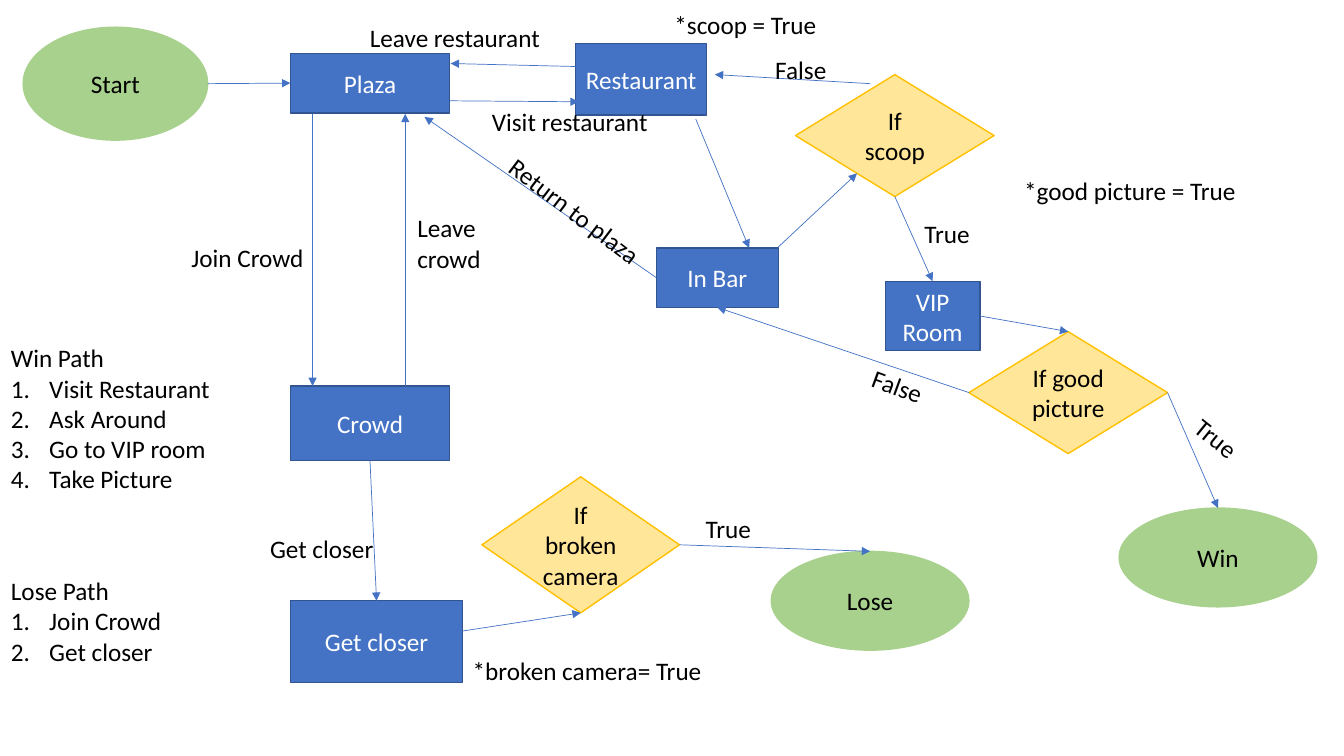
from lxml import etree
from pptx import Presentation
from pptx.dml.color import RGBColor
from pptx.enum import shapes, text
from pptx.oxml.ns import qn
from pptx.util import Inches, Pt

BLACK = RGBColor(0x00, 0x00, 0x00)
WHITE = RGBColor(0xFF, 0xFF, 0xFF)
BLUE = RGBColor(0x44, 0x72, 0xC4)
NAVY = RGBColor(0x32, 0x54, 0x91)
GREEN = RGBColor(0xA9, 0xD1, 0x8E)
CREAM = RGBColor(0xFF, 0xE6, 0x99)
GOLD = RGBColor(0xFF, 0xC0, 0x00)

KIND = shapes.MSO_SHAPE
STYLES = {
    "end": (KIND.OVAL, GREEN, GREEN, BLACK),
    "place": (KIND.RECTANGLE, BLUE, NAVY, WHITE),
    "test": (KIND.FLOWCHART_DECISION, CREAM, GOLD, BLACK),
}
NODES = [
    ("Start", "end", 0.23, 0.27, 1.83, 1.12),
    ("Plaza", "place", 2.88, 0.53, 1.58, 0.59),
    ("Crowd", "place", 2.88, 3.83, 1.58, 0.74),
    ("In Bar", "place", 6.51, 2.46, 1.21, 0.59),
    ("If broken camera", "test", 4.78, 4.73, 1.96, 1.35),
    ("Lose", "end", 7.65, 5.47, 1.96, 0.98),
    ("Restaurant", "place", 5.71, 0.43, 1.3, 0.71),
    ("If good picture", "test", 9.61, 3.29, 1.97, 1.21),
    ("Win", "end", 11.1, 5.04, 1.96, 0.98),
    ("VIP Room", "place", 8.78, 2.79, 0.94, 0.69),
    ("If scoop", "test", 7.89, 0.74, 1.97, 1.21),
    ("Get closer", "place", 2.88, 5.96, 1.71, 0.81),
]

TOP, LEFT, BOTTOM, RIGHT = range(4)
ARROWS = [
    ((2.06, 0.83), ("Plaza", LEFT)),
    ((3.1, 1.13), (3.1, 3.83)),
    ((4.02, 3.83), (4.02, 1.13)),
    ((4.46, 1), (5.74, 1.01)),
    ((5.71, 0.66), (4.47, 0.63)),
    (("Crowd", BOTTOM), ("Get closer", TOP)),
    ((4.59, 6.26), ("If broken camera", BOTTOM)),
    (("If broken camera", RIGHT), ("Lose", TOP)),
    ((6.9, 1.18), (7.43, 2.46)),
    (("In Bar", LEFT), (4.21, 1.16)),
    ((7.72, 2.45), (8.5, 1.72)),
    ((8.63, 0.83), (7.09, 0.74)),
    (("If scoop", BOTTOM), ("VIP Room", TOP)),
    (("VIP Room", RIGHT), ("If good picture", TOP)),
    (("If good picture", LEFT), ("In Bar", BOTTOM)),
    (("If good picture", RIGHT), ("Win", TOP)),
]

LABELS = [
    ("Join Crowd", 1.8, 2.35, 1.33, 0.4, 0, False),
    ("Leave\ncrowd", 4.04, 2.06, 1.15, 0.71, 0, True),
    ("Visit restaurant", 4.78, 1.01, 1.76, 0.4, 0, False),
    ("Leave restaurant", 3.57, 0.17, 2.36, 0.4, 0, True),
    ("True", 9.07, 2.12, 0.66, 0.4, 0, False),
    ("True", 11.74, 4.15, 0.66, 0.4, 38.9, False),
    ("False", 8.55, 3.63, 0.71, 0.4, 20.1, False),
    ("Return to plaza", 4.83, 1.9, 1.76, 0.4, 37.3, False),
    ("*scoop = True", 6.59, 0.04, 1.69, 0.71, 0, False),
    ("*broken camera= True", 4.59, 6.45, 2.5, 0.4, 0, False),
    ("*good picture = True", 10.06, 1.69, 2.33, 0.4, 0, False),
    ("False", 7.59, 0.49, 0.71, 0.4, 0, False),
    ("True", 6.9, 5.04, 0.66, 0.4, 0, False),
    ("Get closer", 2.58, 5.24, 1.24, 0.4, 0, False),
]
PATHS = [
    ("Win Path", ["Visit Restaurant", "Ask Around", "Go to VIP room", "Take Picture"],
     0.01, 3.35, 2.19, 1.62),
    ("Lose Path", ["Join Crowd", "Get closer"], 0.01, 5.66, 1.71, 1.01),
]

prs = Presentation()
prs.slide_width, prs.slide_height = Inches(13.33), Inches(7.5)
s = prs.slides.add_slide(prs.slide_layouts[6])


def write(tf, words, color, align):
    tf.text = words
    for p in tf.paragraphs:
        p.alignment = align
        for r in p.runs:
            r.font.name, r.font.size = "Calibri", Pt(18)
            r.font.color.rgb = color


def add_label(words, box, wrap=False):
    sp = s.shapes.add_textbox(*map(Inches, box))
    tf = sp.text_frame
    write(tf, words, BLACK, text.PP_ALIGN.LEFT)
    tf.word_wrap = wrap
    tf.auto_size = text.MSO_AUTO_SIZE.SHAPE_TO_FIT_TEXT
    return sp


def add_node(words, style, *box):
    kind, fill, line, color = STYLES[style]
    sp = s.shapes.add_shape(kind, *map(Inches, box))
    sp.shadow.inherit = False
    sp.fill.solid()
    sp.fill.fore_color.rgb = fill
    sp.line.color.rgb = line
    sp.line.width = Pt(1)
    tf = sp.text_frame
    tf.word_wrap = True
    tf.vertical_anchor = text.MSO_ANCHOR.MIDDLE
    write(tf, words, color, text.PP_ALIGN.CENTER)
    return sp


def add_arrow(start, end):
    glued = [isinstance(e[0], str) for e in (start, end)]
    points = [(0, 0) if g else e for g, e in zip(glued, (start, end))]
    cn = s.shapes.add_connector(
        shapes.MSO_CONNECTOR.STRAIGHT, *[Inches(v) for pt in points for v in pt])
    for g, (name, site), connect in zip(
            glued, (start, end), (cn.begin_connect, cn.end_connect)):
        if g:
            connect(nodes[name], site)
    cn.line.color.rgb = BLUE
    cn.line.width = Pt(0.5)
    ln = cn.line._get_or_add_ln()
    etree.SubElement(ln, qn("a:tailEnd"), type="triangle")
    etree.SubElement(ln.getparent(), qn("a:effectLst"))


nodes = {node[0]: add_node(*node) for node in NODES}

for start, end in ARROWS:
    add_arrow(start, end)

for words, x, y, w, h, angle, wrap in LABELS:
    add_label(words, (x, y, w, h), wrap).rotation = angle

for title, steps, *box in PATHS:
    sp = add_label("\n".join([title] + steps), box)
    for p in sp.text_frame.paragraphs[1:]:
        pPr = p._p.get_or_add_pPr()
        pPr.set("marL", str(Inches(0.38)))
        pPr.set("indent", str(-Inches(0.38)))
        etree.SubElement(pPr, qn("a:buFont"), typeface="+mj-lt")
        etree.SubElement(pPr, qn("a:buAutoNum"), type="arabicPeriod")

prs.save("out.pptx")
